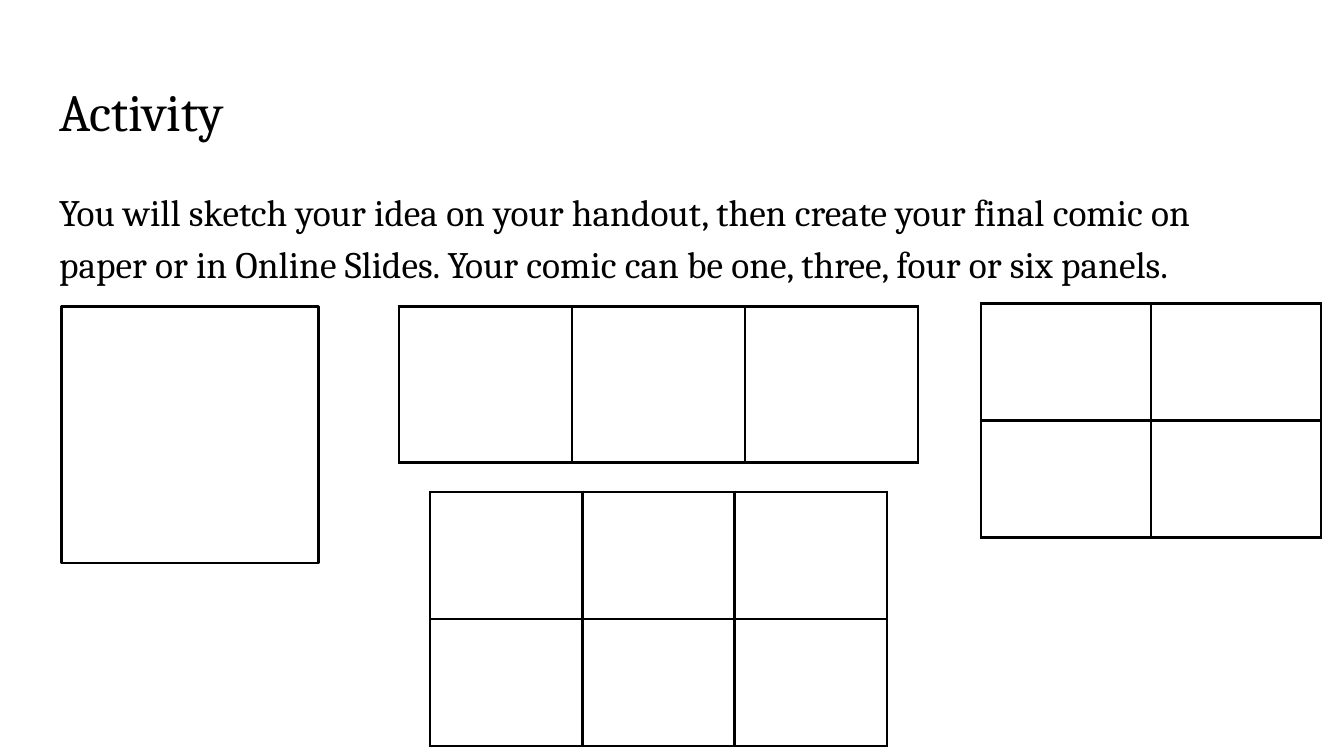
from lxml.etree import SubElement
from pptx import Presentation
from pptx.dml.color import RGBColor
from pptx.enum.shapes import MSO_SHAPE
from pptx.enum.text import MSO_ANCHOR, MSO_AUTO_SIZE, PP_ALIGN
from pptx.oxml.ns import qn
from pptx.util import Inches, Pt

BLACK = RGBColor(0x00, 0x00, 0x00)
FONT = "Cambria"
LINE = Pt(1.5)


class SlideBuilder:
    """Holds the style and the current slide."""

    def __init__(self, slide):
        self.slide = slide

    def text(self, sp, text, left, top, width, height, size):
        sp.left, sp.top = Inches(left), Inches(top)
        sp.width, sp.height = Inches(width), Inches(height)
        tf = sp.text_frame
        tf.text = text
        tf.word_wrap = True
        tf.auto_size = MSO_AUTO_SIZE.NONE
        tf.vertical_anchor = MSO_ANCHOR.TOP
        tf.margin_left = tf.margin_right = Inches(0.1)
        tf.margin_top = tf.margin_bottom = Inches(0.1)
        p = tf.paragraphs[0]
        p.alignment = PP_ALIGN.LEFT
        p.space_before = Pt(0)
        font = p.runs[0].font
        font.name, font.size = FONT, Pt(size)
        font.color.rgb = BLACK
        return p

    def title(self, text, *box):
        self.text(self.slide.shapes.title, text, *box, size=28)

    def body(self, text, *box):
        p = self.text(self.slide.placeholders[1], text, *box, size=20)
        p.line_spacing = 1.15
        p.space_after = Pt(16)
        # No bullet, no hanging indent
        pPr = p._p.get_or_add_pPr()
        pPr.set("marL", "0")
        pPr.set("indent", "0")
        SubElement(pPr, qn("a:buNone"))

    def panel(self, left, top, width, height):
        sp = self.slide.shapes.add_shape(
            MSO_SHAPE.RECTANGLE, Inches(left), Inches(top), Inches(width), Inches(height))
        sp.shadow.inherit = False
        sp.fill.background()
        sp.line.color.rgb = BLACK
        sp.line.width = LINE

    def panel_grid(self, rows, cols, left, top, width, height):
        table = self.slide.shapes.add_table(
            rows, cols, Inches(left), Inches(top), Inches(width), Inches(height)).table
        table.first_row = table.horz_banding = False
        for cell in table.iter_cells():
            self.borders(cell)
            cell.fill.background()

    def borders(self, cell):
        tcPr = cell._tc.get_or_add_tcPr()
        for side in ("a:lnL", "a:lnR", "a:lnT", "a:lnB"):
            ln = SubElement(tcPr, qn(side), w=str(LINE))
            fill = SubElement(ln, qn("a:solidFill"))
            SubElement(fill, qn("a:srgbClr"), val=str(BLACK))


def main():
    # Widescreen, 16:9
    prs = Presentation()
    prs.slide_width = Inches(10)
    prs.slide_height = prs.slide_width * 9 // 16
    s = SlideBuilder(prs.slides.add_slide(prs.slide_layouts[1]))

    # Heading and instructions
    s.title("Activity", 0.34, 0.49, 9.32, 0.63)
    s.body("You will sketch your idea on your handout, then create your final comic on "
           "paper or in Online Slides. Your comic can be one, three, four or six panels.",
           0.34, 1.26, 9.32, 3.74)

    # Comic layouts: one, three, four and six panels
    s.panel(0.46, 2.28, 1.91, 1.91)
    s.panel_grid(1, 3, 2.97, 2.28, 3.86, 1.16)
    s.panel_grid(2, 2, 7.3, 2.26, 2.53, 1.74)
    s.panel_grid(2, 3, 3.2, 3.66, 3.4, 1.89)

    prs.save("out.pptx")


if __name__ == "__main__":
    main()
